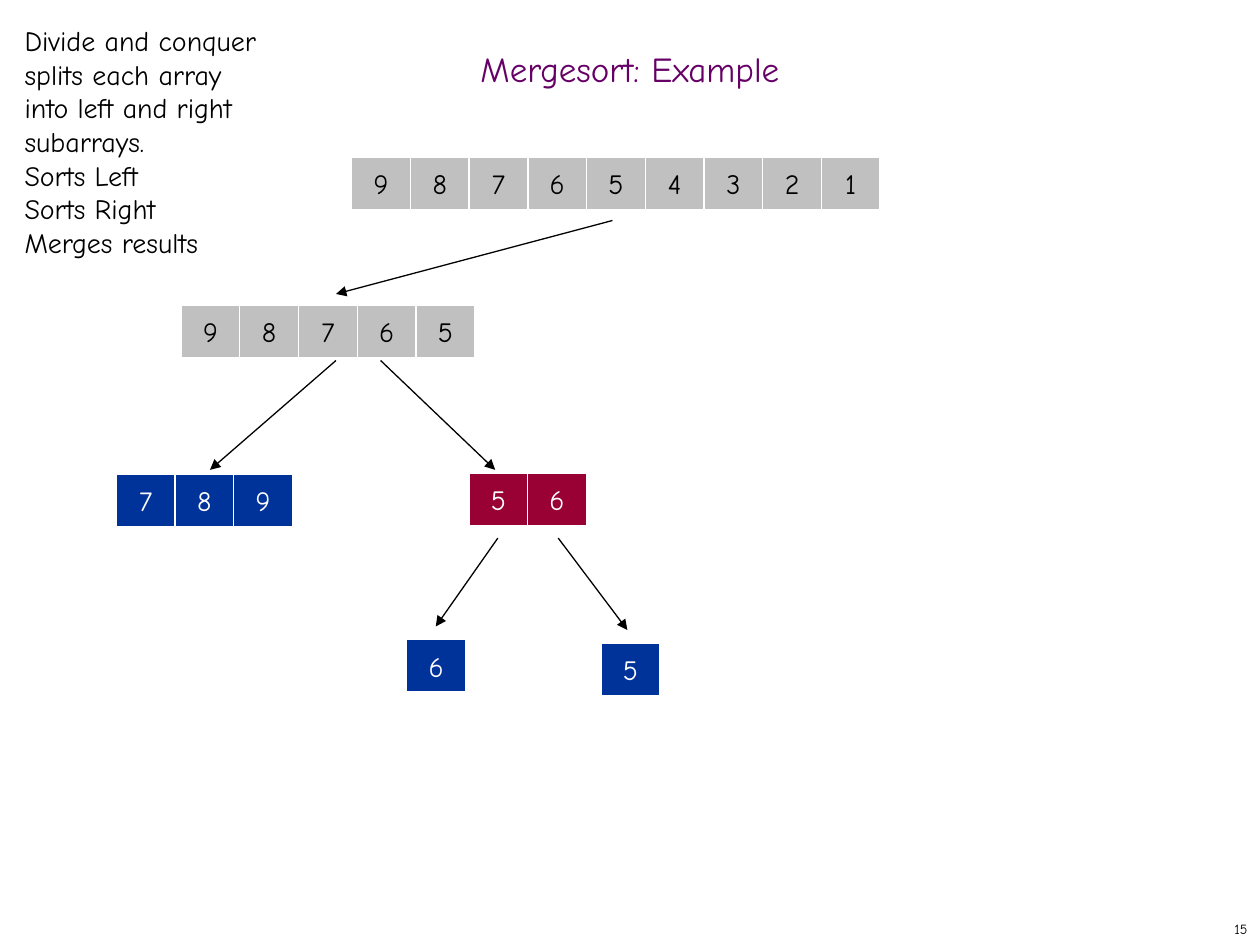
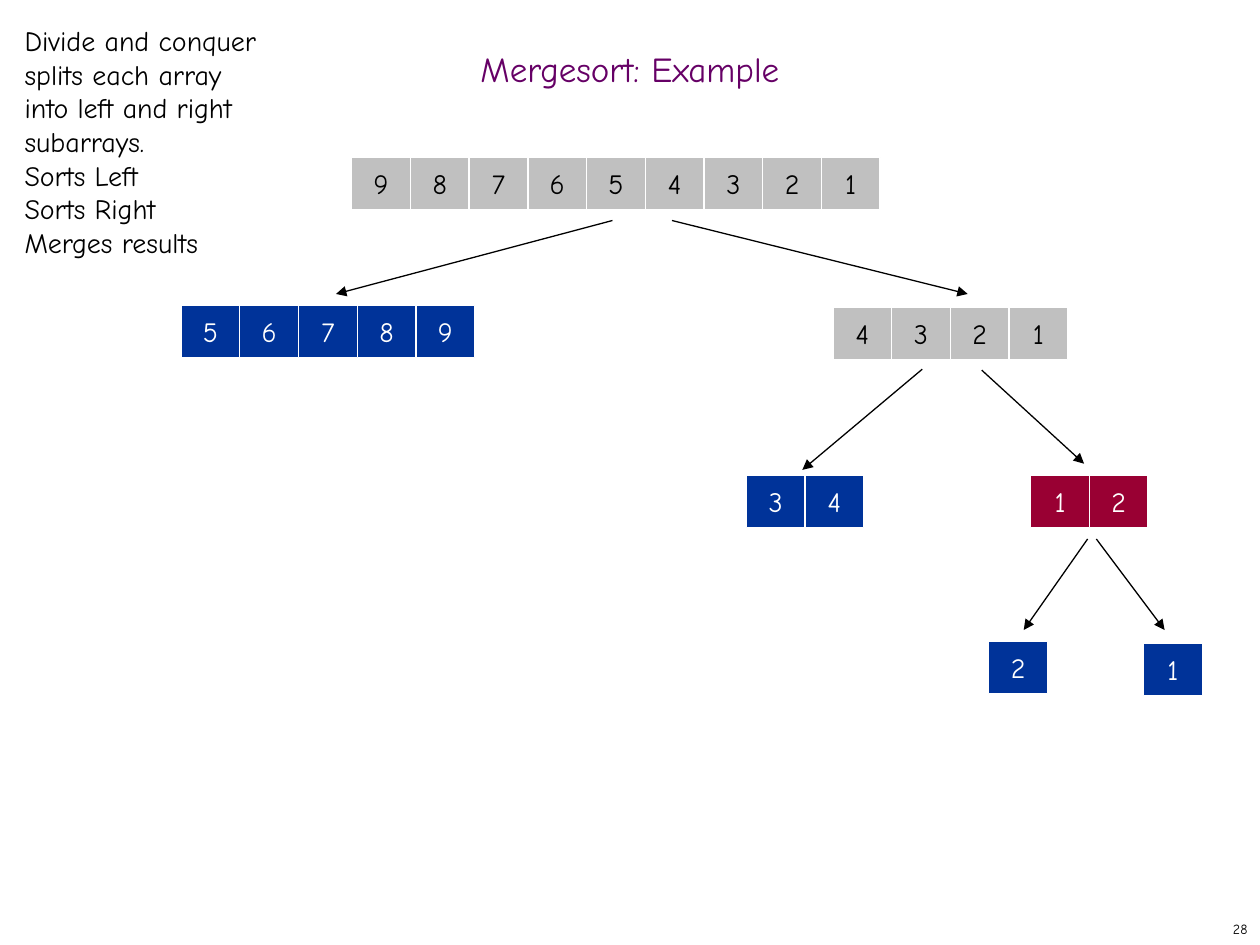
from pptx import Presentation
from pptx.dml.color import RGBColor
from pptx.enum import shapes, text
from pptx.oxml.ns import qn
from pptx.util import Pt
from lxml import etree

BLACK = RGBColor(0x00, 0x00, 0x00)
WHITE = RGBColor(0xFF, 0xFF, 0xFF)
PURPLE = RGBColor(0x66, 0x00, 0x66)
GREY = RGBColor(0xC0, 0xC0, 0xC0)
BLUE = RGBColor(0x00, 0x33, 0x99)
RED = RGBColor(0x99, 0x00, 0x33)

FONT = "Comic Neue"
CELL_WIDTH, CELL_HEIGHT = 33.55, 30
TITLE_ONLY = 5
NOTE = (
    "Divide and conquer splits each array into left and right subarrays.",
    "Sorts Left",
    "Sorts Right",
    "Merges results",
)


def write(shape, *lines, size=16, color=BLACK, align=text.PP_ALIGN.LEFT,
          anchor=text.MSO_ANCHOR.MIDDLE, wrap=True, spacing=None):
    frame = shape.text_frame
    frame.word_wrap = wrap
    frame.vertical_anchor = anchor
    frame.text = "\n".join(lines)
    for paragraph in frame.paragraphs:
        paragraph.alignment = align
        paragraph.line_spacing = spacing
        paragraph.font.name = FONT
        paragraph.font.size = Pt(size)
        paragraph.font.color.rgb = color


class MergesortDeck:
    def __init__(self):
        self.presentation = Presentation()
        self.presentation.slide_width = Pt(720)
        self.presentation.slide_height = Pt(540)
        self.slide = None

    def start_slide(self, number):
        layout = self.presentation.slide_layouts[TITLE_ONLY]
        self.slide = self.presentation.slides.add_slide(layout)
        self.title("Mergesort: Example")
        self.page_number(number)
        self.note()
        self.array("987654321", 201, 90, GREY)
        self.arrow(350, 126, 192, 168)

    def title(self, words):
        title = self.slide.shapes.title
        title.left, title.top = Pt(0), Pt(24)
        title.width, title.height = Pt(720), Pt(36)
        write(title, words, size=20, color=PURPLE,
              align=text.PP_ALIGN.CENTER, spacing=0.7)

    def text_box(self, left, top, width, height, *lines, **style):
        box = self.slide.shapes.add_textbox(Pt(left), Pt(top), Pt(width), Pt(height))
        write(box, *lines, **style)
        return box

    def page_number(self, number):
        self.text_box(570, 522, 150, 18, str(number), size=8,
                      align=text.PP_ALIGN.RIGHT, wrap=False)

    def note(self):
        box = self.text_box(7, 10, 155, 143, *NOTE, anchor=text.MSO_ANCHOR.TOP)
        box.text_frame.auto_size = text.MSO_AUTO_SIZE.SHAPE_TO_FIT_TEXT

    def array(self, digits, left, top, fill):
        for index, digit in enumerate(digits):
            cell = self.slide.shapes.add_shape(
                shapes.MSO_SHAPE.RECTANGLE, Pt(left + index * CELL_WIDTH), Pt(top),
                Pt(CELL_WIDTH), Pt(CELL_HEIGHT))
            cell.shadow.inherit = False
            cell.fill.solid()
            cell.fill.fore_color.rgb = fill
            cell.line.color.rgb = WHITE
            cell.line.width = Pt(0.75)
            write(cell, digit, color=BLACK if fill == GREY else WHITE,
                  align=text.PP_ALIGN.CENTER, wrap=False)

    def arrow(self, start_x, start_y, end_x, end_y):
        arrow = self.slide.shapes.add_connector(
            shapes.MSO_CONNECTOR.STRAIGHT,
            Pt(start_x), Pt(start_y), Pt(end_x), Pt(end_y))
        arrow.line.color.rgb = BLACK
        arrow.line.width = Pt(0.75)
        properties = arrow._element.spPr
        etree.SubElement(properties.find(qn("a:ln")), qn("a:tailEnd"), type="triangle")
        etree.SubElement(properties, qn("a:effectLst"))


def build_left_half(deck):
    deck.start_slide(15)
    deck.array("98765", 103.5, 174.5, GREY)
    deck.arrow(192, 206, 120, 268.5)
    deck.arrow(217.5, 206, 283, 268.5)
    deck.array("789", 66.5, 271, BLUE)
    deck.array("56", 268, 270.5, RED)
    deck.arrow(284.5, 307.5, 249, 358)
    deck.arrow(319, 307.5, 358.5, 360)
    deck.array("6", 232.5, 365.5, BLUE)
    deck.array("5", 343.5, 367.5, BLUE)


def build_right_half(deck):
    deck.start_slide(28)
    deck.array("56789", 103.5, 174.5, BLUE)
    deck.arrow(384, 126, 553, 168)
    deck.array("4321", 476, 175.5, GREY)
    deck.arrow(527, 211, 458.5, 268.5)
    deck.arrow(561, 211.5, 619.5, 265)
    deck.array("34", 426.5, 271.5, BLUE)
    deck.array("12", 589, 271.5, RED)
    deck.arrow(621.5, 308, 585, 360)
    deck.arrow(626.5, 308, 665.5, 360)
    deck.array("2", 565, 366.5, BLUE)
    deck.array("1", 653.5, 367.5, BLUE)


def main():
    deck = MergesortDeck()
    build_left_half(deck)
    build_right_half(deck)
    deck.presentation.save("out.pptx")


if __name__ == "__main__":
    main()
